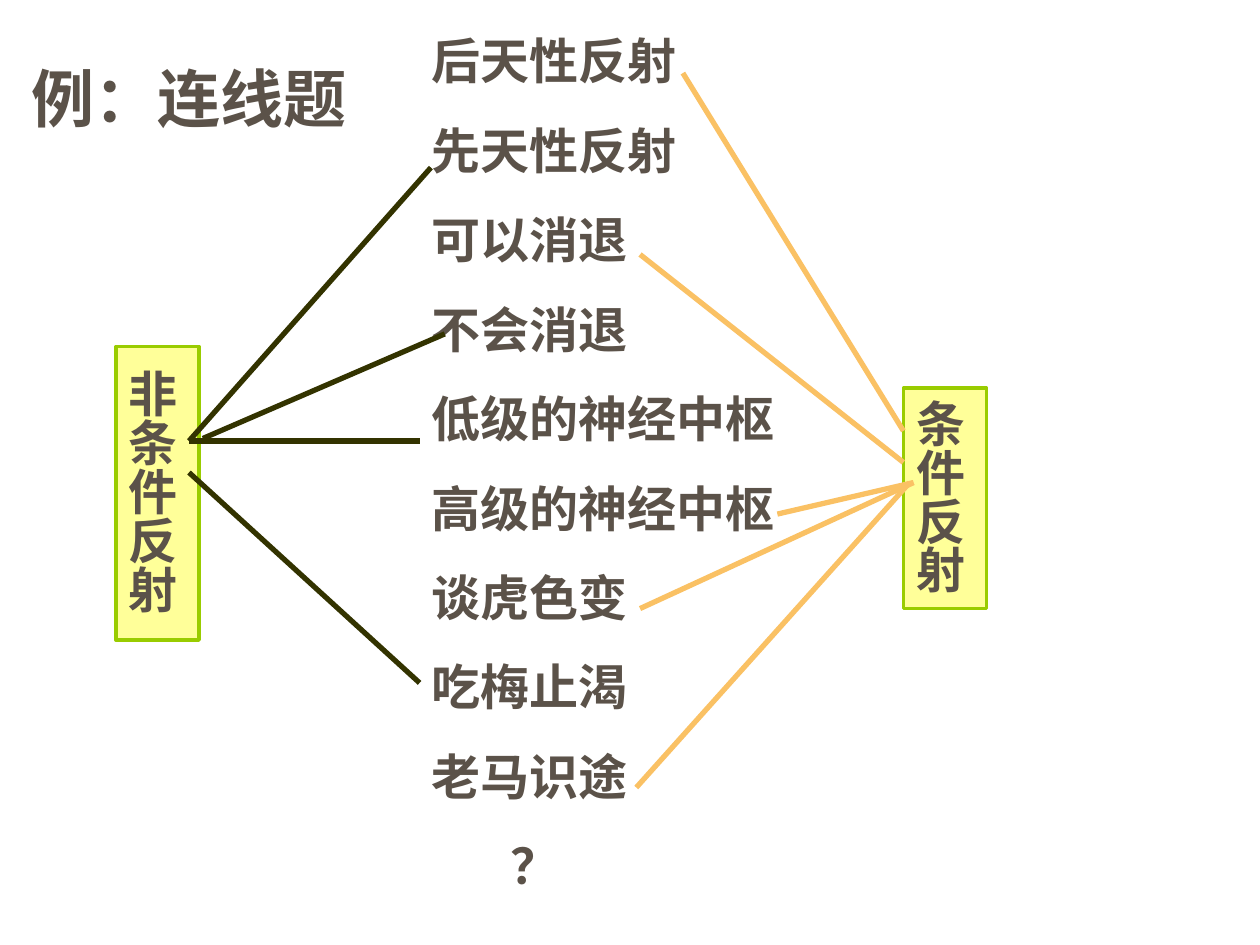
import pptx
import pptx.dml.color
import pptx.enum.shapes
import pptx.enum.text
import pptx.oxml.ns
import pptx.util
from pptx.util import Inches
import lxml.etree

DARK, GOLD = "333300", "FAC164"
SIZE = 28


def color(code):
    return pptx.dml.color.RGBColor.from_string(code)


def write(shape, *lines, size=SIZE, align="LEFT", pad=(0.1, 0.05), gap=0):
    """Fill the shape with one paragraph a line; pad is (side, top) in inches."""
    frame = shape.text_frame
    frame.word_wrap = True
    frame.vertical_anchor = pptx.enum.text.MSO_ANCHOR.BOTTOM
    frame.margin_left = frame.margin_right = Inches(pad[0])
    frame.margin_top = frame.margin_bottom = Inches(pad[1])
    for i, line in enumerate(lines):
        para = frame.add_paragraph() if i else frame.paragraphs[0]
        para.alignment = getattr(pptx.enum.text.PP_ALIGN, align)
        para.space_before = pptx.util.Pt(gap if i else 0)
        run = para.add_run()
        run.text = line
        run.font.name = "Times New Roman"
        run.font.size = pptx.util.Pt(size)
        run.font.bold = True
        run.font.color.rgb = color("5B5249")
    return frame


deck = pptx.Presentation()
deck.slide_width, deck.slide_height = Inches(10), Inches(7.5)
slide = deck.slides.add_slide(deck.slide_layouts[6])
shapes = slide.shapes

# Vertical boxes for the two kinds of reflex
for word, left, top, high in [
    ("非条件反射", 0.92, 2.75, 2.33),
    ("条件反射", 7.17, 3.08, 1.75),
]:
    box = shapes.add_shape(pptx.enum.shapes.MSO_SHAPE.RECTANGLE,
                           Inches(left), Inches(top), Inches(0.66), Inches(high))
    box.shadow.inherit = False
    box.fill.solid()
    box.fill.fore_color.rgb = color("FFFF99")
    box.line.color.rgb = color("99CC00")
    box.line.width = pptx.util.Pt(2)
    # Centre the column, with a little slack so that it never wraps
    room = (high - len(word) * SIZE / 72) / 2 - 0.01
    frame = write(box, word, align="CENTER", pad=(0.05, room))
    frame._txBody.bodyPr.set("vert", "eaVert")

# Traits to match
traits = shapes.add_textbox(Inches(3.33), Inches(0.19), Inches(3.25), Inches(6.96))
frame = write(
    traits,
    "后天性反射", "先天性反射", "可以消退", "不会消退", "低级的神经中枢",
    "高级的神经中枢", "谈虎色变", "吃梅止渴", "老马识途", "？",
    gap=17.5,
)
last = frame.paragraphs[-1]._p.get_or_add_pPr()
last.set("marL", str(Inches(0.62)))
last.set("indent", "0")

title = shapes.add_textbox(Inches(0), Inches(0.42), Inches(3), Inches(0.7))
write(title, "例：连线题", size=36, align="CENTER")

# Answer lines
for x1, y1, x2, y2, tint in [
    (1.61, 3.48, 3.53, 2.65, DARK),
    (1.5, 3.5, 3.33, 3.5, DARK),
    (5.08, 2.02, 7.17, 3.67, GOLD),
    (6.17, 4.08, 7.25, 3.83, GOLD),
    (5.05, 6.25, 7.22, 3.83, GOLD),
    (1.5, 3.5, 3.42, 1.33, DARK),
    (1.5, 3.75, 3.33, 5.42, DARK),
    (5.08, 4.83, 7.25, 3.83, GOLD),
    (5.42, 0.58, 7.17, 3.42, GOLD),
]:
    link = shapes.add_connector(pptx.enum.shapes.MSO_CONNECTOR.STRAIGHT,
                                Inches(x1), Inches(y1), Inches(x2), Inches(y2))
    link.line.color.rgb = color(tint)
    link.line.width = pptx.util.Pt(3)
    lxml.etree.SubElement(link._element.spPr, pptx.oxml.ns.qn("a:effectLst"))

deck.save("out.pptx")
